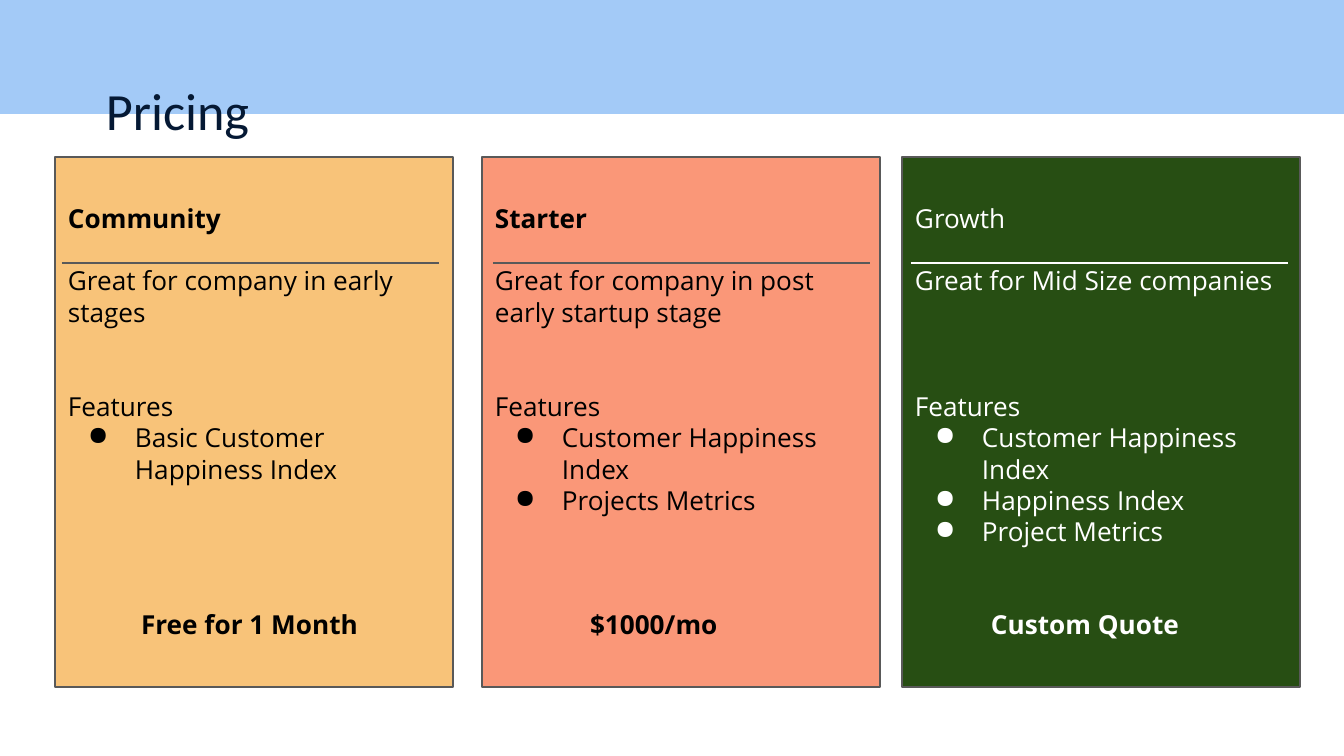
"""Builds a pricing slide with three plan cards."""
from dataclasses import dataclass

from lxml import etree
from pptx import Presentation
from pptx import util as u
from pptx.dml.color import RGBColor
from pptx.enum import shapes, text
from pptx.oxml.ns import qn


@dataclass(frozen=True)
class Theme:
    band: str = "A3CAF7"
    navy: str = "051934"
    edge: str = "595959"
    black: str = "000000"
    white: str = "FFFFFF"
    head: str = "Calibri"
    body: str = "Open Sans"
    big: int = 28
    base: int = 14
    thin: float = 0.75


T = Theme()
TITLE = "Pricing"
PLANS = [
    dict(name="Community", bold=True, pitch="Great for company in early stages", gap=2,
         items=["Basic Customer Happiness Index"], price="Free for 1 Month",
         fill="F8C379", ink=T.black, rule=T.edge, left=55, line=62, tag=(128, 302)),
    dict(name="Starter", bold=True, pitch="Great for company in post early startup stage", gap=2,
         items=["Customer Happiness Index", "Projects Metrics"], price="$1000/mo",
         fill="FA9778", ink=T.black, rule=T.edge, left=482, line=493, tag=(577, 190)),
    dict(name="Growth", bold=False, pitch="Great for Mid Size companies", gap=3,
         items=["Customer Happiness Index", "Happiness Index", "Project Metrics"],
         price="Custom Quote",
         fill="274E13", ink=T.white, rule=T.white, left=902, line=911, tag=(978, 245)),
]
WIDE, HIGH = 1344, 756
BAND = 114
TOP, CARD_W, CARD_H = 157, 398, 530
RULE_Y, RULE_W = 263, 377
TAG_Y, TAG_H = 595, 59
PAD, HEAD_PAD, ROW = 13, 45, 31.4
INDENT, HANG = 67, 47


def px(num):
    return u.Emu(round(num * 914400 / 134.4))


def tint(hue):
    return RGBColor.from_string(hue)


def write(para, words, ink, bold=False, size=T.base, face=T.body):
    run = para.add_run()
    run.text = words
    font = run.font
    font.size, font.name, font.bold = u.Pt(size), face, bold
    font.color.rgb = tint(ink)


def frame(shape, top=PAD):
    body = shape.text_frame
    body.word_wrap = True
    body.vertical_anchor = text.MSO_ANCHOR.TOP
    body.margin_left = body.margin_right = body.margin_bottom = px(PAD)
    body.margin_top = px(top)
    return body


def block(slide, box, fill, edge=None):
    shape = slide.shapes.add_shape(shapes.MSO_SHAPE.RECTANGLE, *map(px, box))
    shape.shadow.inherit = False
    shape.fill.solid()
    shape.fill.fore_color.rgb = tint(fill)
    if edge:
        shape.line.color.rgb = tint(edge)
        shape.line.width = u.Pt(T.thin)
    else:
        shape.line.fill.background()
    return shape


def label(slide, box, words, ink, **style):
    shape = slide.shapes.add_textbox(*map(px, box))
    body = frame(shape)
    write(body.paragraphs[0], words, ink, **style)
    return body


def dot(para, ink):
    props = para._p.get_or_add_pPr()
    props.set("marL", str(px(INDENT)))
    props.set("indent", str(-px(HANG)))
    hue = etree.SubElement(props, qn("a:buClr"))
    etree.SubElement(hue, qn("a:srgbClr"), val=ink)
    etree.SubElement(props, qn("a:buChar"), char="●")


def card(slide, plan):
    ink = plan["ink"]
    shape = block(slide, (plan["left"], TOP, CARD_W, CARD_H), plan["fill"], T.edge)
    body = frame(shape, HEAD_PAD)
    rows = [(plan["name"], 0, plan["bold"], False),
            (plan["pitch"], 1, False, False),
            ("Features", plan["gap"], False, False)]
    rows += [(item, 0, False, True) for item in plan["items"]]
    for i, (words, gap, bold, mark) in enumerate(rows):
        para = body.add_paragraph() if i else body.paragraphs[0]
        para.alignment = text.PP_ALIGN.LEFT
        para.space_before = px(gap * ROW)
        if mark:
            dot(para, ink)
        write(para, words, ink, bold)


def rule(slide, plan):
    ends = (plan["line"], RULE_Y, plan["line"] + RULE_W, RULE_Y)
    line = slide.shapes.add_connector(shapes.MSO_CONNECTOR.STRAIGHT, *map(px, ends))
    line.line.color.rgb = tint(plan["rule"])
    line.line.width = u.Pt(T.thin)
    etree.SubElement(line._element.spPr, qn("a:effectLst"))


def main():
    deck = Presentation()
    deck.slide_width, deck.slide_height = px(WIDE), px(HIGH)
    slide = deck.slides.add_slide(deck.slide_layouts[6])
    block(slide, (0, 0, WIDE, BAND), T.band)
    label(slide, (93, 65, 1039, 85), TITLE, T.navy, size=T.big, face=T.head)
    for plan in PLANS:
        card(slide, plan)
    for plan in PLANS:
        left, width = plan["tag"]
        body = label(slide, (left, TAG_Y, width, TAG_H), plan["price"], plan["ink"], bold=True)
        body.auto_size = text.MSO_AUTO_SIZE.SHAPE_TO_FIT_TEXT
    for plan in PLANS:
        rule(slide, plan)
    deck.save("out.pptx")


if __name__ == "__main__":
    main()
